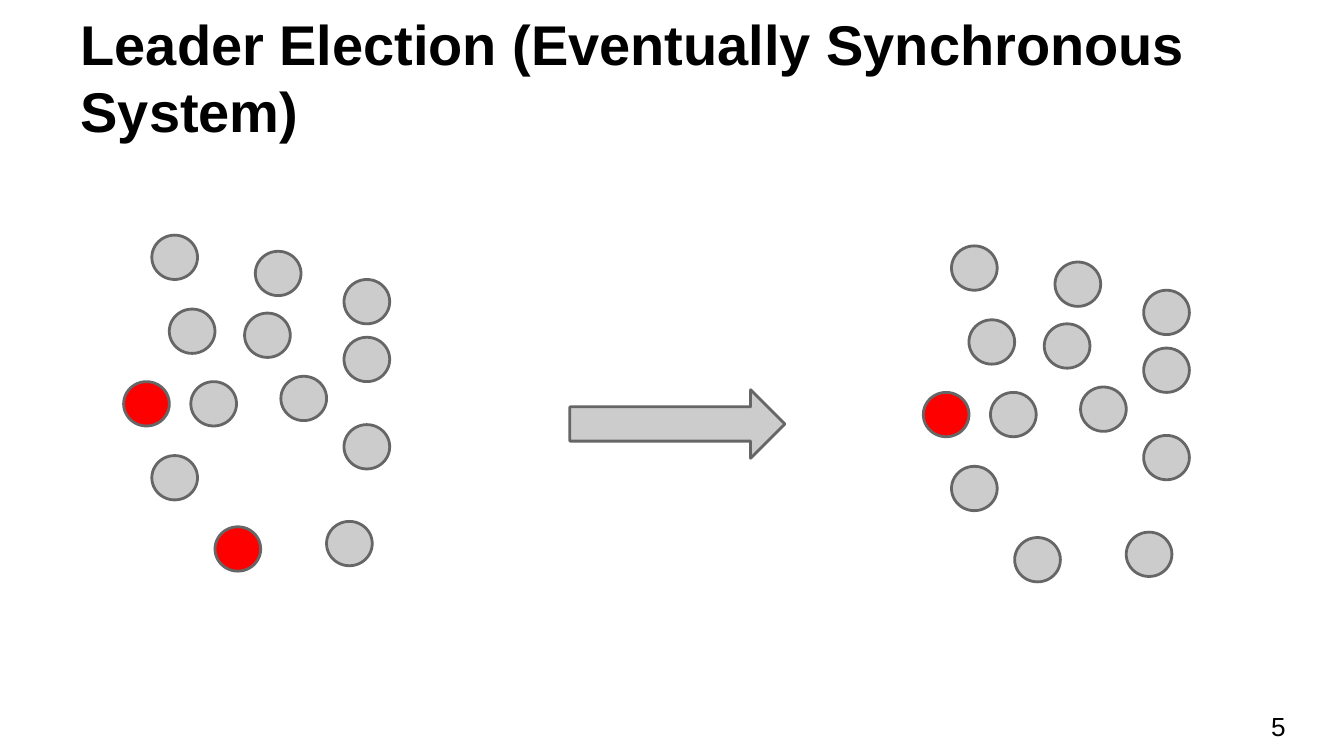
from pptx import Presentation
from pptx.dml.color import RGBColor
from pptx.enum.shapes import MSO_SHAPE
from pptx.enum.text import MSO_ANCHOR, MSO_AUTO_SIZE, PP_ALIGN
from pptx.util import Inches, Pt

# Content
TITLE = "Leader Election (Eventually Synchronous System)"
PAGE_NUMBER = "5"
COLORS = {"text": "000000", "node": "CCCCCC", "leader": "FF0000", "outline": "666666"}
NODE_SIZE = (0.34, 0.33)
NODES = [  # left, top of each node in the first cluster
    (1.13, 1.75), (1.26, 2.30), (1.90, 1.87), (1.82, 2.33), (0.92, 2.84),
    (1.42, 2.84), (2.56, 2.51), (2.09, 2.80), (2.56, 2.08), (2.56, 3.16),
    (2.43, 3.88), (1.60, 3.92), (1.13, 3.39),
]
CLUSTERS = [  # offset from the first cluster, indices of its leaders
    {"offset": (0, 0), "leaders": {4, 11}},
    {"offset": (5.95, 0.08), "leaders": {4}},
]
ARROW = (4.24, 2.9, 1.6, 0.51)
TITLE_BOX = (0.5, 0.23, 9, 0.94)
NUMBER_BOX = (9.36, 5.19, 0.6, 0.43)


def rgb(name):
    return RGBColor.from_string(COLORS[name])


def add_figure(shapes, kind, box, fill):
    figure = shapes.add_shape(kind, *map(Inches, box))
    figure.shadow.inherit = False
    figure.fill.solid()
    figure.fill.fore_color.rgb = rgb(fill)
    figure.line.color.rgb = rgb("outline")
    figure.line.width = Pt(1.5)


def write(frame, text, anchor, size, bold):
    frame.text = text
    frame_format = {"word_wrap": True, "auto_size": MSO_AUTO_SIZE.NONE,
                    "vertical_anchor": anchor}
    for side in ("left", "top", "right", "bottom"):
        frame_format[f"margin_{side}"] = Inches(0.1)
    for name, value in frame_format.items():
        setattr(frame, name, value)
    paragraph = frame.paragraphs[0]
    paragraph.alignment = PP_ALIGN.LEFT
    font = paragraph.runs[0].font
    for name, value in {"name": "Arial", "size": Pt(size), "bold": bold}.items():
        setattr(font, name, value)
    font.color.rgb = rgb("text")


# Widescreen 16:9 slide
presentation = Presentation()
presentation.slide_width = Inches(10)
presentation.slide_height = Inches(10 * 9 / 16)
slide = presentation.slides.add_slide(presentation.slide_layouts[5])

# Title
title = slide.shapes.title
for name, value in zip(("left", "top", "width", "height"), TITLE_BOX):
    setattr(title, name, Inches(value))
write(title.text_frame, TITLE, MSO_ANCHOR.BOTTOM, 30, True)

# Node clusters: two leaders at first, then a single one
for cluster in CLUSTERS:
    group = slide.shapes.add_group_shape()
    dx, dy = cluster["offset"]
    for index, (left, top) in enumerate(NODES):
        role = "leader" if index in cluster["leaders"] else "node"
        add_figure(group.shapes, MSO_SHAPE.OVAL, (left + dx, top + dy, *NODE_SIZE), role)

# Transition arrow
add_figure(slide.shapes, MSO_SHAPE.RIGHT_ARROW, ARROW, "node")

# Page number
number = slide.shapes.add_textbox(*map(Inches, NUMBER_BOX))
write(number.text_frame, PAGE_NUMBER, MSO_ANCHOR.MIDDLE, 14, False)

presentation.save("out.pptx")
